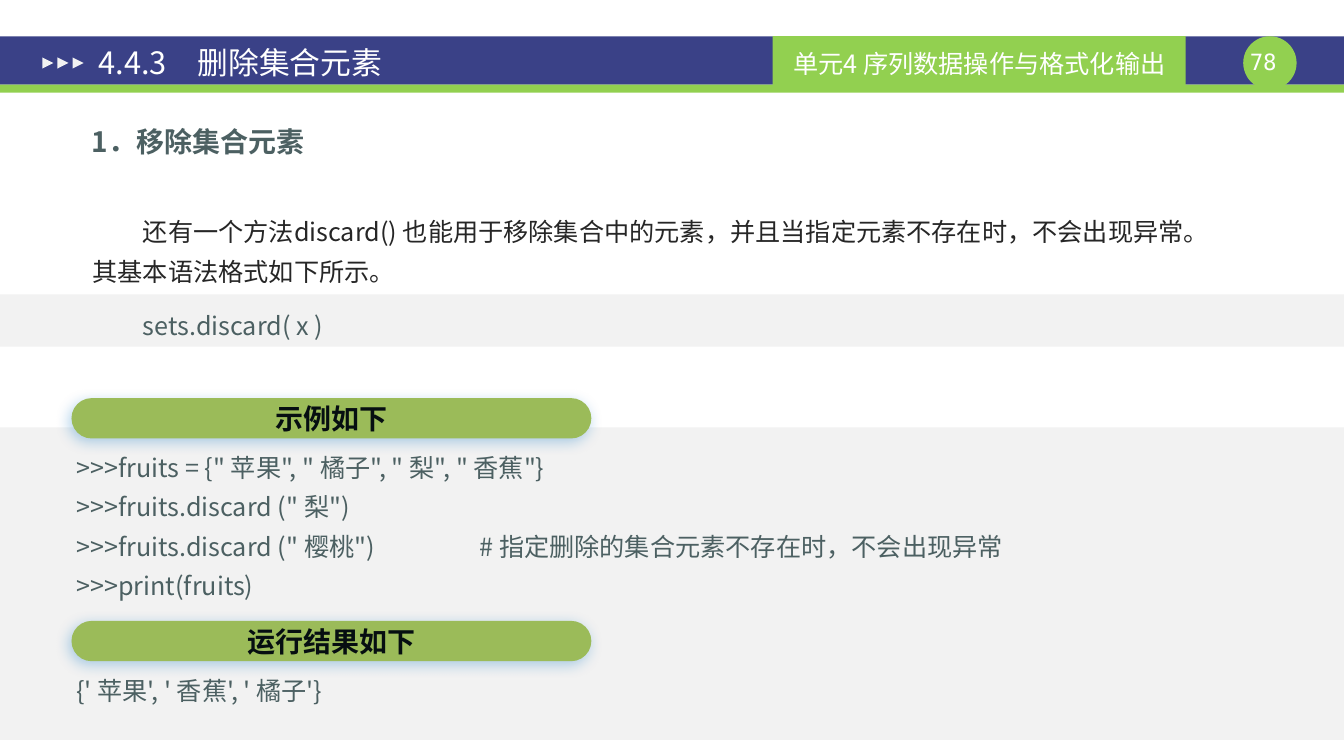
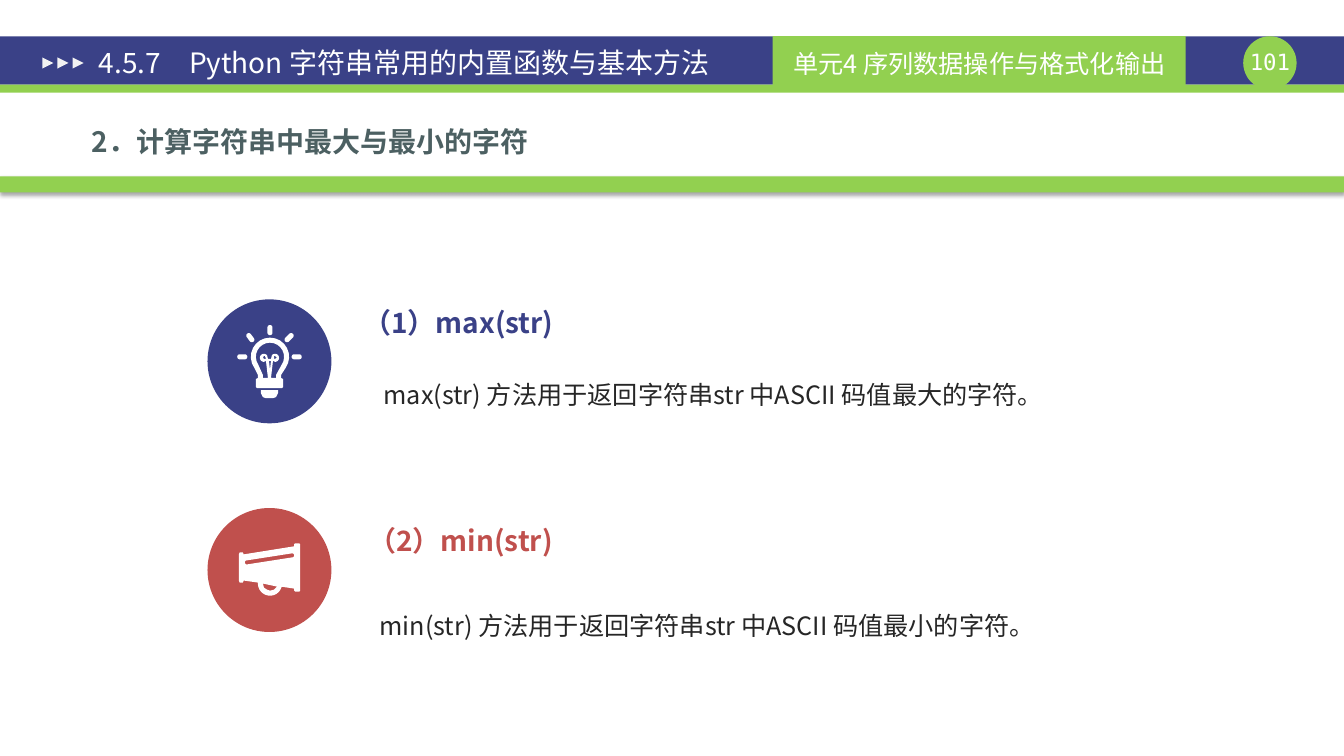
"""Build two lesson slides on Python sets and string functions."""
from dataclasses import dataclass
from math import atan2, cos, degrees, radians, sin

from lxml.etree import SubElement
from pptx import Presentation
from pptx.dml.color import RGBColor
from pptx.enum.shapes import MSO_SHAPE as Shape
from pptx.enum.text import MSO_ANCHOR as Anchor, PP_ALIGN as Align
from pptx.oxml.ns import qn
from pptx.util import Pt

PX = 9144
W, H = 1334, 750
SANS, MONO = "Noto Sans CJK SC", "DejaVu Sans Mono"
NAVY = RGBColor(0x3A, 0x41, 0x87)
LIME = RGBColor(0x92, 0xD0, 0x50)
OLIVE = RGBColor(0x9B, 0xBB, 0x59)
RED = RGBColor(0xC0, 0x50, 0x4D)
SLATE = RGBColor(0x4C, 0x60, 0x62)
INK = RGBColor(0x26, 0x26, 0x26)
BLACK = RGBColor(0x06, 0x0E, 0x11)
PALE = RGBColor(0xF2, 0xF2, 0xF2)
WHITE = RGBColor(0xFF, 0xFF, 0xFF)

Point = tuple[float, float]
Contour = list[Point]


@dataclass(frozen=True)
class Box:
    x: int
    y: int
    w: int
    h: int

    def emu(self) -> list[int]:
        return [v * PX for v in (self.x, self.y, self.w, self.h)]


@dataclass(frozen=True)
class Style:
    color: RGBColor
    size: int = 18
    bold: bool = False
    font: str = SANS
    align: Align = Align.LEFT
    anchor: Anchor = Anchor.TOP
    inset: tuple[int, int] = (10, 5)
    indent: int = 0
    spacing: float = 1.0
    wrap: bool = True


@dataclass(frozen=True)
class Shadow:
    color: str
    alpha: int
    blur: float
    distance: float
    angle: int


@dataclass(frozen=True)
class Method:
    icon_y: int
    color: RGBColor
    icon: list[Contour]
    heading: str
    heading_box: Box
    text: str
    text_box: Box


HEADING = Style(SLATE, 20, True, indent=50, spacing=1.32)
BODY = Style(INK, indent=50, spacing=1.32)
CODE = Style(SLATE, indent=50, spacing=1.3)
PILL = Style(BLACK, 20, True, align=Align.CENTER, anchor=Anchor.MIDDLE)
UNIT = Style(WHITE, align=Align.CENTER, anchor=Anchor.MIDDLE)
PAGE = Style(WHITE, 16, font=MONO, align=Align.CENTER, inset=(0, 0))
PILL_GLOW = Shadow("0070C0", 30, 10, 3, 135)
BAND_SHADOW = Shadow("000000", 35, 3.1, 1.8, 90)
TABS = (400, 533)


def format_paragraph(p, style: Style) -> None:
    p.alignment = style.align
    p.line_spacing = style.spacing
    if style.indent:
        pPr = p._p.get_or_add_pPr()
        pPr.set("marL", "0")
        pPr.set("indent", str(style.indent * PX))
    if "\t" in p.text:
        tabs = SubElement(p._p.get_or_add_pPr(), qn("a:tabLst"))
        for pos in TABS:
            SubElement(tabs, qn("a:tab"), pos=str(pos * PX), algn="l")
    for r in p.runs:
        r.font.size = Pt(style.size)
        r.font.bold = style.bold
        r.font.color.rgb = style.color
        r.font.name = style.font
        SubElement(r._r.get_or_add_rPr(), qn("a:ea"), typeface=style.font)


def fill_text(sp, text: str, style: Style) -> None:
    tf = sp.text_frame
    tf.word_wrap = style.wrap
    tf.vertical_anchor = style.anchor
    tf.margin_left = tf.margin_right = style.inset[0] * PX
    tf.margin_top = tf.margin_bottom = style.inset[1] * PX
    tf.text = text
    for p in tf.paragraphs:
        format_paragraph(p, style)


def add_text(s, box: Box, text: str, style: Style):
    sp = s.shapes.add_textbox(*box.emu())
    fill_text(sp, text, style)
    return sp


def paint(sp, color: RGBColor) -> None:
    sp.shadow.inherit = False
    sp.fill.solid()
    sp.fill.fore_color.rgb = color
    sp.line.fill.background()


def add_block(s, box: Box, color: RGBColor, kind: Shape = Shape.RECTANGLE):
    sp = s.shapes.add_shape(kind, *box.emu())
    paint(sp, color)
    return sp


def add_shadow(sp, shadow: Shadow) -> None:
    effects = sp._element.spPr.find(qn("a:effectLst"))
    outer = SubElement(effects, qn("a:outerShdw"), blurRad=str(Pt(shadow.blur)),
                       dist=str(Pt(shadow.distance)), dir=str(shadow.angle * 60000),
                       algn="ctr", rotWithShape="0")
    clr = SubElement(outer, qn("a:srgbClr"), val=shadow.color)
    SubElement(clr, qn("a:alpha"), val=str(shadow.alpha * 1000))


def add_pill(s, y: int, text: str) -> None:
    sp = add_block(s, Box(71, y, 516, 40), OLIVE, Shape.ROUNDED_RECTANGLE)
    sp.adjustments[0] = 0.5
    add_shadow(sp, PILL_GLOW)
    fill_text(sp, text, PILL)


def arc(cx: float, cy: float, r: float, start: float, end: float) -> Contour:
    steps = 16
    angles = [radians(start + (end - start) * i / steps) for i in range(steps + 1)]
    return [(cx + r * cos(a), cy + r * sin(a)) for a in angles]


def capsule(a: Point, b: Point, width: int = 5) -> Contour:
    t = degrees(atan2(b[1] - a[1], b[0] - a[0]))
    return arc(*a, width / 2, t + 90, t + 270) + arc(*b, width / 2, t - 90, t + 90)


def add_icon(s, contours: list[Contour]) -> None:
    fb = None
    for contour in contours:
        first, *rest = [(round(x * PX), round(y * PX)) for x, y in contour]
        if fb is None:
            fb = s.shapes.build_freeform(*first)
        else:
            fb.move_to(*first)
        fb.add_line_segments(rest, close=True)
    paint(fb.convert_to_shape(), WHITE)


def bulb() -> list[Contour]:
    rays = [((238, 354), (243, 354)), ((292, 354), (297, 354)), ((268, 325), (268, 330)),
            ((247, 333), (250, 337)), ((289, 333), (285, 337))]
    glass = arc(268, 354, 19, 145, 395) + [
        (279, 372), (279, 375), (281, 376), (281, 384), (280, 385),
        (255, 385), (254, 384), (254, 376), (256, 375), (256, 372)]
    hollow = arc(268, 354, 14, 146, 394) + [
        (274, 372), (274, 375), (269, 375), (271, 358),
        *arc(273, 355, 4, 90, -140), (269, 356), (266, 356),
        *arc(262, 355, 4, -40, -270), (264, 358), (266, 375), (261, 375), (261, 372)]
    slit = [(268, 367), (267, 358), (269, 358)]
    loops = [[(272, 356), (272, 353), (273, 353), (275, 355), (273, 356)],
             [(264, 356), (262, 356), (261, 355), (262, 353), (263, 353)]]
    base = [(259, 387), (276, 387), (276, 390), (274, 394), (271, 395),
            (264, 395), (261, 394), (259, 390)]
    return [capsule(a, b) for a, b in rays] + [glass, hollow, slit, *loops, base]


def megaphone() -> list[Contour]:
    body = [(297, 539), (293, 539), (292, 540), (292, 542), (242, 550), (241, 548),
            (238, 548), (237, 550), (237, 576), (238, 578), (241, 578), (242, 576),
            (256, 578), *arc(268, 579, 12, 180, 15), (292, 584), (292, 586), (293, 587),
            (297, 587), (298, 586), (298, 540)]
    handle = [(261, 579), (262, 583), (265, 585), (268, 586), (272, 585), (275, 582)]
    stripe = capsule((245, 558), (290, 551), 4)
    return [body, handle, stripe]


def add_slide(prs, title: str, title_size: int, page: int, heading: str):
    s = prs.slides.add_slide(prs.slide_layouts[6])
    add_block(s, Box(0, 36, W, 48), NAVY)
    add_block(s, Box(0, 84, W, 8), LIME)
    add_block(s, Box(1234, 36, 53, 53), LIME, Shape.OVAL)
    add_text(s, Box(1234, 48, 53, 27), f"{page} ", PAGE)
    fill_text(add_block(s, Box(767, 36, 410, 54), LIME), "单元4 序列数据操作与格式化输出", UNIT)
    for i in range(3):
        add_block(s, Box(42 + 15 * i, 57, 11, 11), PALE, Shape.ISOSCELES_TRIANGLE).rotation = 90
    add_text(s, Box(85, 40, 807, 44), title,
             Style(WHITE, title_size, anchor=Anchor.MIDDLE, inset=(13, 7)))
    add_text(s, Box(31, 108, 1248, 50), heading, HEADING)
    return s


def build_discard_slide(prs) -> None:
    s = add_slide(prs, "4.4.3　删除集合元素", 22, 78, "1．移除集合元素")
    add_block(s, Box(0, 292, W, 52), PALE)
    sp = add_text(s, Box(82, 200, 1151, 144),
                  "还有一个方法discard() 也能用于移除集合中的元素，并且当指定元素不存在时，"
                  "不会出现异常。其基本语法格式如下所示。\nsets.discard( x )", BODY)
    syntax = sp.text_frame.paragraphs[1]
    syntax.space_before = Pt(10)
    syntax.runs[0].font.color.rgb = SLATE
    add_block(s, Box(0, 424, W, 310), PALE)
    add_pill(s, 395, "示例如下")
    add_text(s, Box(16, 435, 1318, 168), "\n".join([
        '>>>fruits = {" 苹果", " 橘子", " 梨", " 香蕉"}',
        '>>>fruits.discard (" 梨")',
        '>>>fruits.discard (" 樱桃") \t\t# 指定删除的集合元素不存在时，不会出现异常',
        ">>>print(fruits)"]), CODE)
    add_pill(s, 616, "运行结果如下")
    add_text(s, Box(16, 656, 1318, 46), "{' 苹果', ' 香蕉', ' 橘子'}", CODE)


def build_max_min_slide(prs) -> None:
    s = add_slide(prs, "4.5.7　Python 字符串常用的内置函数与基本方法", 20, 101,
                  "2．计算字符串中最大与最小的字符")
    add_shadow(add_block(s, Box(0, 175, W, 16), LIME), BAND_SHADOW)
    methods = [
        Method(297, NAVY, bulb(), "（1）max(str)", Box(325, 293, 260, 54),
               "max(str) 方法用于返回字符串str 中ASCII 码值最大的字符。", Box(321, 362, 961, 46)),
        Method(504, RED, megaphone(), "（2）min(str)", Box(329, 510, 256, 52),
               "min(str) 方法用于返回字符串str 中ASCII 码值最小的字符。", Box(317, 591, 869, 46)),
    ]
    for m in methods:
        add_block(s, Box(206, m.icon_y, 123, 123), m.color, Shape.OVAL)
        add_icon(s, m.icon)
        add_text(s, m.heading_box, m.heading,
                 Style(m.color, 20, True, align=Align.CENTER, anchor=Anchor.MIDDLE,
                       inset=(0, 0), wrap=False))
        add_text(s, m.text_box, m.text, BODY)


def main() -> None:
    prs = Presentation()
    prs.slide_width, prs.slide_height = W * PX, H * PX
    build_discard_slide(prs)
    build_max_min_slide(prs)
    prs.save("out.pptx")


if __name__ == "__main__":
    main()
